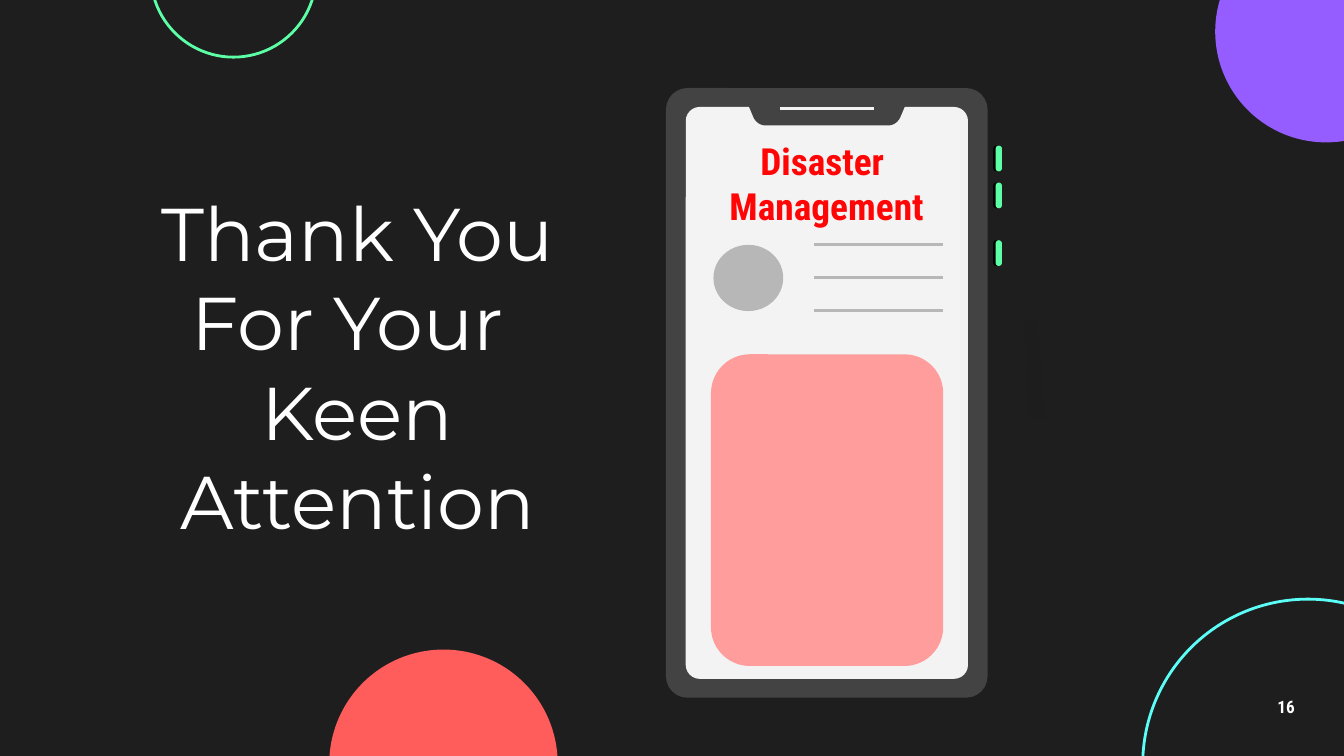
"""Build a closing slide with a phone drawing and thanks."""
from dataclasses import dataclass

from lxml.etree import SubElement as Sub
from pptx import Presentation as Deck
from pptx.dml.color import RGBColor as Rgb
from pptx.enum.shapes import MSO_CONNECTOR as Link, MSO_SHAPE as Kind
from pptx.enum.text import MSO_ANCHOR as Anchor, PP_ALIGN as Align
from pptx.oxml.ns import qn
from pptx.util import Pt


@dataclass(frozen=True)
class Theme:
    back: str = "1E1E1E"
    white: str = "FFFFFF"
    black: str = "000000"
    shade: str = "121212"
    frame: str = "434343"
    screen: str = "F3F3F3"
    gray: str = "B7B7B7"
    pink: str = "FF9D9D"
    coral: str = "FF5C5C"
    red: str = "FF0505"
    purple: str = "955CFF"
    cyan: str = "5CFFF8"
    green: str = "5CFFA6"
    light: str = "Montserrat"
    bold: str = "Roboto Condensed"
    title: float = 40
    label: float = 20
    small: float = 9.2
    stroke: float = 1.5


T = Theme()


def paint(shape, fill=None, line=None):
    shape.shadow.inherit = False
    if fill:
        shape.fill.solid()
        shape.fill.fore_color.rgb = Rgb.from_string(fill)
    else:
        shape.fill.background()
    if line:
        shape.line.color.rgb = Rgb.from_string(line)
        shape.line.width = Pt(T.stroke)
    else:
        shape.line.fill.background()
    return shape


def disc(slide, x, y, wide, high, fill=None, line=None):
    box = map(Pt, (x, y, wide, high))
    return paint(slide.shapes.add_shape(Kind.OVAL, *box), fill, line)


def panel(slide, x, y, wide, high, curve, fill):
    box = map(Pt, (x, y, wide, high))
    shape = slide.shapes.add_shape(Kind.ROUNDED_RECTANGLE, *box)
    shape.adjustments[0] = curve / min(wide, high)
    return paint(shape, fill)


def outline(slide, points, fill):
    spots = [(Pt(x), Pt(y)) for x, y in points]
    form = slide.shapes.build_freeform(*spots[0])
    form.add_line_segments(spots[1:], close=True)
    return paint(form.convert_to_shape(), fill)


def bend(a, b, c, d, steps=6):
    """Return points along a cubic curve."""
    def mix(t, p, q, r, s):
        u = 1 - t
        return u**3 * p + 3 * u * u * t * q + 3 * u * t * t * r + t**3 * s

    return [tuple(mix(i / steps, *axis) for axis in zip(a, b, c, d))
            for i in range(steps + 1)]


def rule(slide, left, right, y, color, width=T.stroke):
    line = slide.shapes.add_connector(
        Link.STRAIGHT, Pt(left), Pt(y), Pt(right), Pt(y))
    line.line.color.rgb = Rgb.from_string(color)
    line.line.width = Pt(width)
    Sub(line.element.spPr, qn("a:effectLst"))


def write(slide, x, y, wide, high, lines, font, size, color, bold=False, gap=None):
    frame = slide.shapes.add_textbox(*map(Pt, (x, y, wide, high))).text_frame
    frame.word_wrap = True
    frame.vertical_anchor = Anchor.MIDDLE
    frame.margin_left = frame.margin_right = Pt(7.2)
    frame.margin_top = frame.margin_bottom = Pt(7.2)
    for i, text in enumerate(lines):
        para = frame.add_paragraph() if i else frame.paragraphs[0]
        para.alignment = Align.CENTER
        if gap:
            para.line_spacing = gap
        run = para.add_run()
        run.text = text
        run.font.name = font
        run.font.size = Pt(size)
        run.font.bold = bold
        run.font.color.rgb = Rgb.from_string(color)


def decor(slide):
    disc(slide, 651, -42.5, 118.8, 118.8, fill=T.purple)
    disc(slide, 612.2, 321, 177, 177, line=T.cyan)
    disc(slide, 80.8, -58, 88.6, 88.6, line=T.green)
    disc(slide, 176.4, 348, 122.4, 122.4, fill=T.coral)
    shade = outline(slide, [(548.6, 172), (550.8, 224), (559.4, 224), (555.8, 172)],
                    T.shade)
    color = shade.fill._xPr.find(qn("a:solidFill"))[0]
    Sub(color, qn("a:alpha"), val="8000")


def phone(slide):
    for y in (78, 97.8, 128.7):
        panel(slide, 532.1, y, 3.6, 13.8, 1.6, T.black)
        panel(slide, 533.4, y, 3.4, 13.8, 1.7, T.green)
    panel(slide, 356.8, 47.2, 172.3, 326.6, 11.5, T.frame)
    panel(slide, 367.4, 57.3, 151.2, 306.4, 7.5, T.screen)
    panel(slide, 380.9, 189.8, 124.4, 167, 20.8, T.pink)
    disc(slide, 382.2, 131.2, 37.4, 35.5, fill=T.gray)
    left = bend((403.9, 63.4), (405.2, 65.6), (407.5, 67.2), (409.9, 67.2))
    mid = 443
    right = [(2 * mid - x, y) for x, y in reversed(left)]
    outline(slide, [(398.7, 51.1), *left, *right, (487.3, 51.1)], T.frame)
    rule(slide, 417.6, 468.5, 58.1, T.screen, 1.69)
    for i in range(3):
        rule(slide, 436.2, 505.2, 131.1 + 17.7 * i, T.gray)


def main():
    deck = Deck()
    deck.slide_width, deck.slide_height = Pt(720), Pt(405)
    slide = deck.slides.add_slide(deck.slide_layouts[6])
    slide.background.fill.solid()
    slide.background.fill.fore_color.rgb = Rgb.from_string(T.back)
    decor(slide)
    write(slide, 667.4, 367.2, 43.2, 24.5, ["16"], T.bold, T.small, T.white, True, 0.9)
    write(slide, 39.6, 57.6, 303.8, 276.5,
          ["Thank You", "For Your ", "Keen Attention"], T.light, T.title, T.white)
    phone(slide)
    write(slide, 358.6, 78.5, 168.5, 38.9,
          ["Disaster ", "Management"], T.bold, T.label, T.red, True)
    deck.save("out.pptx")


if __name__ == "__main__":
    main()
